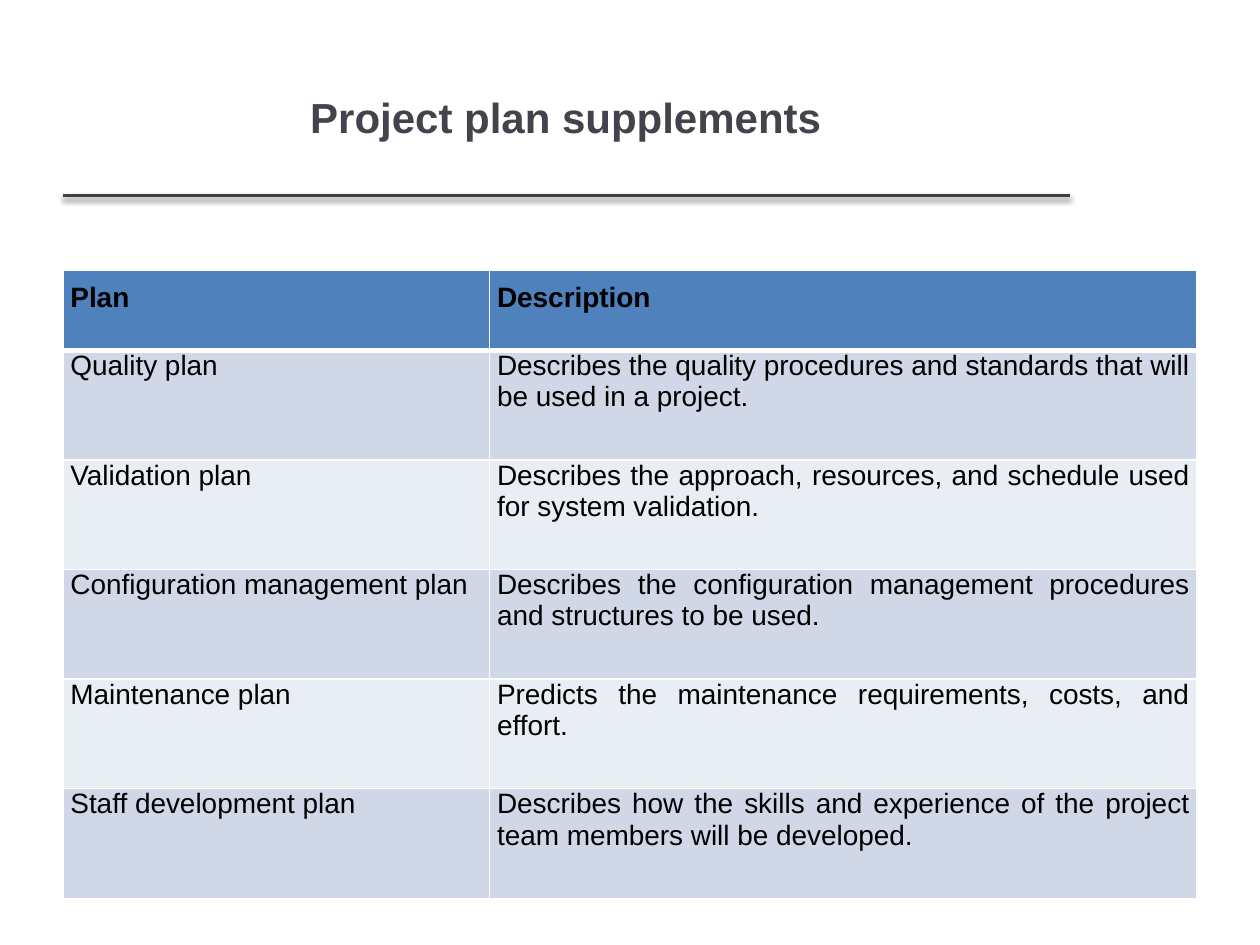
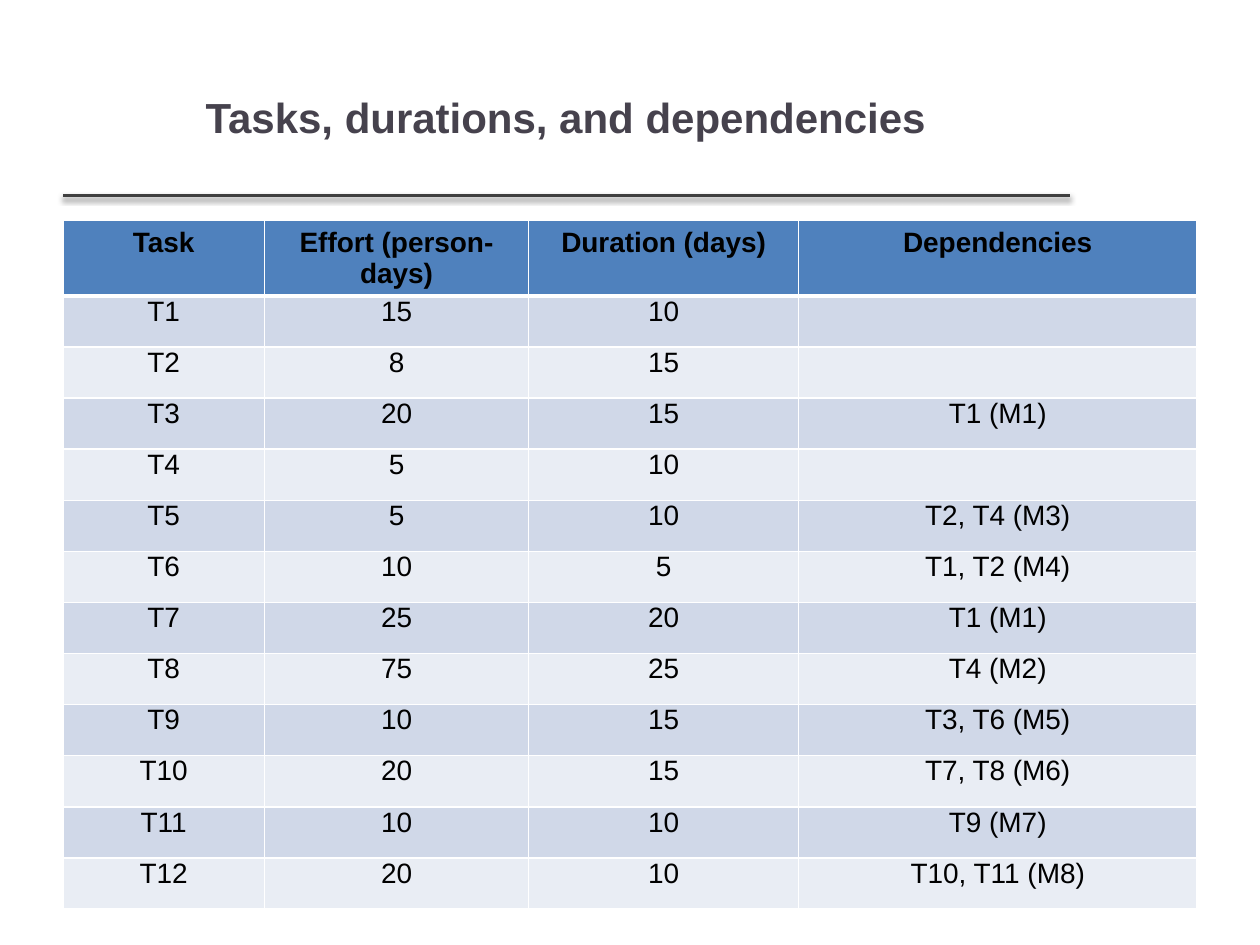
from lxml import etree
from pptx import Presentation
from pptx import util as u
from pptx.dml.color import RGBColor
from pptx.enum import shapes, text
from pptx.oxml import parse_xml
from pptx.oxml.ns import nsdecls, qn

COLORS = {
    "title": "46424D",
    "rule": "404040",
    "header": "4F81BD",
    "odd": "D0D8E8",
    "even": "E9EDF4",
    "border": "FFFFFF",
    "text": "000000",
}
FONT = "Arial"
LEFT = u.Cm(1.27)
LEFT_ALIGN, CENTER, JUSTIFY = (
    text.PP_ALIGN.LEFT, text.PP_ALIGN.CENTER, text.PP_ALIGN.JUSTIFY)

# Content of each page; lengths in centimetres
PAGES = [
    {
        "title": "Project plan supplements",
        "top": 5.44,
        "columns": [8.6, 14.26],
        "header_height": 1.62,
        "row_height": 2.21,
        "padding": 0.25,
        "header_align": [JUSTIFY, JUSTIFY],
        "body_align": [LEFT_ALIGN, JUSTIFY],
        "rows": [
            ("Plan", "Description"),
            ("Quality plan", "Describes the quality procedures and standards "
             "that will be used in a project."),
            ("Validation plan", "Describes the approach, resources, and "
             "schedule used for system validation."),
            ("Configuration management plan", "Describes the configuration "
             "management procedures and structures to be used."),
            ("Maintenance plan", "Predicts the maintenance requirements, "
             "costs, and effort."),
            ("Staff development plan", "Describes how the skills and "
             "experience of the project team members will be developed."),
        ],
    },
    {
        "title": "Tasks, durations, and dependencies",
        "top": 4.45,
        "columns": [4.06, 5.33, 5.44, 8.03],
        "header_height": 1.5,
        "row_height": 1.03,
        "padding": 0.13,
        "header_align": [CENTER] * 4,
        "body_align": [CENTER] * 4,
        "rows": [
            ("Task", "Effort (person-days)", "Duration (days)", "Dependencies"),
            ("T1", "15", "10", ""),
            ("T2", "8", "15", ""),
            ("T3", "20", "15", "T1 (M1)"),
            ("T4", "5", "10", ""),
            ("T5", "5", "10", "T2, T4 (M3)"),
            ("T6", "10", "5", "T1, T2 (M4)"),
            ("T7", "25", "20", "T1 (M1)"),
            ("T8", "75", "25", "T4 (M2)"),
            ("T9", "10", "15", "T3, T6 (M5)"),
            ("T10", "20", "15", "T7, T8 (M6)"),
            ("T11", "10", "10", "T9 (M7)"),
            ("T12", "20", "10", "T10, T11 (M8)"),
        ],
    },
]


def write_text(frame, words, size=16, color="text", bold=False, align=CENTER):
    para = frame.paragraphs[0]
    para.alignment = align
    if words:
        span = para.add_run()
        span.text = words
        span.font.name = FONT
        span.font.size = u.Pt(size)
        span.font.bold = bold
        span.font.color.rgb = RGBColor.from_string(COLORS[color])


def set_borders(cell, top=1, bottom=1):
    properties = cell._tc.get_or_add_tcPr()
    for side, points in (("L", 1), ("R", 1), ("T", top), ("B", bottom)):
        line = etree.SubElement(properties, qn(f"a:ln{side}"), w=str(u.Pt(points)))
        fill = etree.SubElement(line, qn("a:solidFill"))
        etree.SubElement(fill, qn("a:srgbClr"), val=COLORS["border"])


deck = Presentation()
deck.slide_width, deck.slide_height = u.Cm(25.4), u.Cm(19.05)

for content in PAGES:
    page = deck.slides.add_slide(deck.slide_layouts[5])

    # Title
    title = page.shapes.title
    title.left, title.top = LEFT, u.Cm(0.76)
    title.width, title.height = u.Cm(20.27), u.Cm(3.18)
    title.text_frame.vertical_anchor = text.MSO_ANCHOR.MIDDLE
    write_text(title.text_frame, content["title"], size=24, color="title", bold=True)

    # Rule with a soft shadow under the title
    rule = page.shapes.add_connector(
        shapes.MSO_CONNECTOR.STRAIGHT, LEFT, u.Cm(3.94), u.Cm(21.56), u.Cm(3.94))
    rule.line.width = u.Pt(2)
    rule.line.color.rgb = RGBColor.from_string(COLORS["rule"])
    rule._element.spPr.append(parse_xml(
        f'<a:effectLst {nsdecls("a")}>'
        f'<a:outerShdw blurRad="{u.Pt(3.1)}" dist="{u.Pt(1.6)}" dir="5400000" '
        'rotWithShape="0"><a:srgbClr val="000000"><a:alpha val="38000"/>'
        '</a:srgbClr></a:outerShdw></a:effectLst>'))

    # Table grid
    rows, columns = content["rows"], content["columns"]
    heights = [content["header_height"]] + [content["row_height"]] * (len(rows) - 1)
    table = page.shapes.add_table(
        len(rows), len(columns), LEFT, u.Cm(content["top"]),
        u.Cm(sum(columns)), u.Cm(sum(heights))).table
    for column, width in zip(table.columns, columns):
        column.width = u.Cm(width)
    for row, height in zip(table.rows, heights):
        row.height = u.Cm(height)

    # Table cells
    for row_index, values in enumerate(rows):
        is_header = row_index == 0
        band = "header" if is_header else "odd" if row_index % 2 else "even"
        aligns = content["header_align" if is_header else "body_align"]
        for column_index, words in enumerate(values):
            cell = table.cell(row_index, column_index)
            cell.margin_left = cell.margin_right = u.Cm(0.15)
            cell.margin_top = u.Cm(content["padding"] if is_header else 0)
            cell.margin_bottom = u.Cm(content["padding"])
            set_borders(cell, top=3 if row_index == 1 else 1,
                        bottom=3 if is_header else 1)
            cell.fill.solid()
            cell.fill.fore_color.rgb = RGBColor.from_string(COLORS[band])
            write_text(cell.text_frame, words, bold=is_header,
                       align=aligns[column_index])

deck.save("out.pptx")
